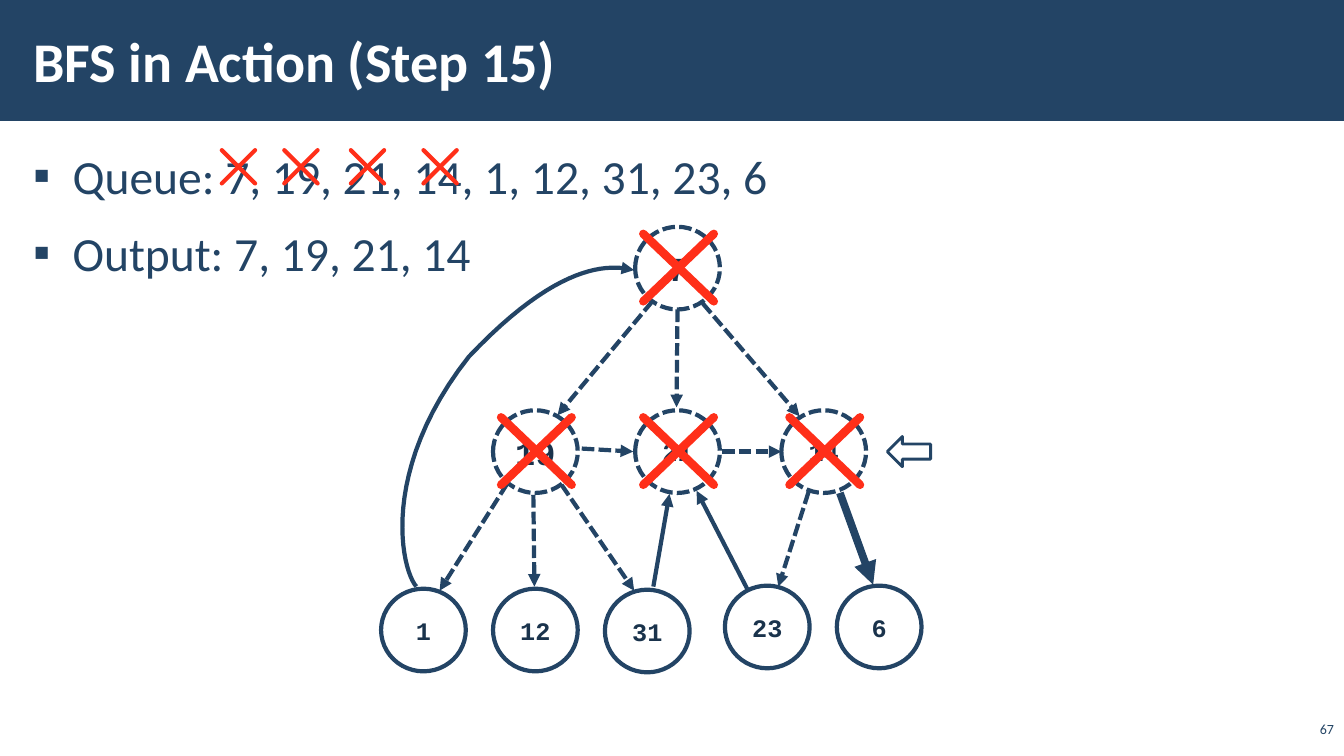
from lxml.etree import SubElement
from pptx import Presentation
from pptx.dml.color import RGBColor
from pptx.enum.dml import MSO_LINE
from pptx.enum.shapes import MSO_CONNECTOR as Connector, MSO_SHAPE as Preset
from pptx.enum.text import MSO_ANCHOR as Anchor, MSO_AUTO_SIZE as AutoSize, PP_ALIGN as Align
from pptx.oxml.ns import qn
from pptx.util import Inches, Pt

NAVY = RGBColor(0x23, 0x44, 0x65)
DARK = RGBColor(0x1A, 0x33, 0x4C)
RED = RGBColor(0xFF, 0x2F, 0x19)
WHITE = RGBColor(0xFF, 0xFF, 0xFF)

# The grid has square cells: 133.3 columns by 75 rows
COLUMNS, ROWS = 133.3, 75
NODE_WIDTH, NODE_HEIGHT = 8.4, 8.2


def cell(count):
    return Inches(count / 10)


def bezier(points, steps=24):
    """Points along a cubic curve, without its start."""
    for step in range(1, steps + 1):
        t = step / steps
        weights = ((1 - t) ** 3, 3 * t * (1 - t) ** 2, 3 * t * t * (1 - t), t ** 3)
        yield tuple(sum(w * p[axis] for w, p in zip(weights, points)) for axis in (0, 1))


class GraphSlide:
    body_font, node_font = "Calibri", "Courier New"

    def __init__(self, presentation):
        self.slide = presentation.slides.add_slide(presentation.slide_layouts[1])
        self.shapes = self.slide.shapes

    def place(self, shape, left, top, width, height):
        shape.left, shape.top = cell(left), cell(top)
        shape.width, shape.height = cell(width), cell(height)

    def format_runs(self, paragraph, size, color, bold=False, font=None):
        for run in paragraph.runs:
            run.font.name = font or self.body_font
            run.font.size = Pt(size)
            run.font.bold = bold
            run.font.color.rgb = color

    def set_margins(self, frame, side, top, bottom):
        frame.margin_left = frame.margin_right = cell(side)
        frame.margin_top, frame.margin_bottom = cell(top), cell(bottom)
        frame.auto_size = AutoSize.NONE

    def stroke(self, shape, color, width, dashed=False, arrow=False, rounded=False):
        shape.line.color.rgb = color
        shape.line.width = Pt(width)
        if dashed:
            shape.line.dash_style = MSO_LINE.SQUARE_DOT
        outline = shape.element.spPr.find(qn("a:ln"))
        if rounded:
            outline.set("cap", "rnd")
        if arrow:
            SubElement(outline, qn("a:tailEnd"), type="triangle")

    def preset(self, kind, box, fill, opacity=100):
        shape = self.shapes.add_shape(kind, *map(cell, box))
        shape.shadow.inherit = False
        shape.fill.solid()
        shape.fill.fore_color.rgb = fill
        if opacity < 100:
            color = shape.element.spPr.find(qn("a:solidFill"))[0]
            SubElement(color, qn("a:alpha"), val=str(opacity * 1000))
        return shape

    def title(self, text):
        band = self.preset(Preset.RECTANGLE, (0, 0, COLUMNS, 12), NAVY)
        band.line.fill.background()
        title = self.shapes.title
        title.element.addprevious(band.element)
        self.place(title, 2.1, 1.1, 106.3, 9.7)
        frame = title.text_frame
        frame.text = text
        frame.vertical_anchor = Anchor.MIDDLE
        self.set_margins(frame, 1.2, 0.4, 0.4)
        frame.paragraphs[0].alignment = Align.LEFT
        self.format_runs(frame.paragraphs[0], 40, WHITE, bold=True)

    def bullets(self, items):
        body = self.slide.placeholders[1]
        self.place(body, 2.1, 13.1, 129.2, 60.5)
        frame = body.text_frame
        frame.text = "\n".join(items)
        self.set_margins(frame, 1.2, 1.2, 0.4)
        for index, paragraph in enumerate(frame.paragraphs):
            properties = paragraph._p.get_or_add_pPr()
            properties.set("marL", str(cell(3.9)))
            properties.set("indent", str(-cell(3.9)))
            SubElement(properties, qn("a:buFont"), typeface=self.body_font)
            SubElement(properties, qn("a:buChar"), char="▪")
            paragraph.line_spacing = 1.05
            paragraph.space_before = Pt(6 if index else 0)
            paragraph.space_after = Pt(6)
            self.format_runs(paragraph, 34, NAVY)

    def page_number(self, text):
        box = self.shapes.add_textbox(*map(cell, (128.6, 71.4, 4.7, 2.2)))
        frame = box.text_frame
        frame.word_wrap = True
        frame.text = text
        frame.vertical_anchor = Anchor.BOTTOM
        self.set_margins(frame, 1, 0.5, 0.5)
        frame.paragraphs[0].alignment = Align.RIGHT
        self.format_runs(frame.paragraphs[0], 10, NAVY)

    def node(self, label, left, top, size=18, visited=False):
        circle = self.preset(Preset.OVAL, (left, top, NODE_WIDTH, NODE_HEIGHT), WHITE, 70)
        self.stroke(circle, NAVY, 3, dashed=visited)
        frame = circle.text_frame
        frame.word_wrap = False
        frame.text = label
        frame.vertical_anchor = Anchor.MIDDLE
        frame.paragraphs[0].alignment = Align.CENTER
        self.format_runs(frame.paragraphs[0], size, DARK, True, self.node_font)

    def line(self, ends, color, width, **style):
        line = self.shapes.add_connector(Connector.STRAIGHT, *map(cell, ends))
        SubElement(line.element.spPr, qn("a:effectLst"))
        self.stroke(line, color, width, **style)
        effects = line.element.spPr.find(qn("a:effectLst"))
        line.element.spPr.append(effects)

    def edge(self, *ends, width=3, dashed=False):
        self.line(ends, NAVY, width, dashed=dashed, arrow=True)

    def cross(self, left, top, width, height, weight):
        right, bottom = left + width, top + height
        for ends in ((left, top, right, bottom), (right, top, left, bottom)):
            self.line(ends, RED, weight, rounded=True)

    def curved_edge(self, start, *curves):
        points = [start]
        for curve in curves:
            points.extend(bezier((points[-1], *curve)))
        builder = self.shapes.build_freeform(*map(cell, start))
        builder.add_line_segments([tuple(map(cell, p)) for p in points[1:]], close=False)
        shape = builder.convert_to_shape()
        shape.shadow.inherit = False
        shape.fill.background()
        self.stroke(shape, NAVY, 3, arrow=True)

    def pointer(self, left, top, width, height):
        arrow = self.preset(Preset.RIGHT_ARROW, (left, top, width, height), WHITE, 50)
        arrow.rotation = 180
        self.stroke(arrow, NAVY, 2)


def main():
    presentation = Presentation()
    presentation.slide_width, presentation.slide_height = cell(COLUMNS), cell(ROWS)
    graph = GraphSlide(presentation)

    # Header, lists and page number
    graph.title("BFS in Action (Step 15)")
    graph.bullets(["Queue: 7, 19, 21, 14, 1, 12, 31, 23, 6", "Output: 7, 19, 21, 14"])
    graph.page_number("67")

    # Numbers removed from the queue
    for left in (22, 28.2, 34.8, 42):
        graph.cross(left, 14.9, 3.3, 3.3, 3)

    # Nodes
    visited = (("7", 63, 22.5, 24), ("19", 48.9, 40.7, 24),
               ("21", 63, 40.7, 18), ("14", 77.5, 40.7, 18))
    waiting = (("1", 37.8, 58.4), ("12", 48.9, 58.4), ("31", 60, 58.5),
               ("23", 71.9, 58.1), ("6", 83, 58.1))
    for label, left, top, size in visited:
        graph.node(label, left, top, size, visited=True)
    for label, left, top in waiting:
        graph.node(label, left, top)

    # Explored edges
    for ends in (
        (64.7, 29.9, 55.3, 41.2), (67.2, 30.7, 67.1, 40.4), (69.7, 30.1, 79.3, 41.3),
        (57.7, 44.5, 62.8, 44.8), (71.6, 44.8, 77.5, 44.8),
        (50.3, 48, 43.6, 58.6), (52.9, 49.1, 53, 58.2), (55.7, 48.1, 62.9, 58.6),
        (80.2, 48.8, 77.2, 58.2),
    ):
        graph.edge(*ends, dashed=True)

    # Remaining edges and the current one
    graph.edge(64.8, 58.2, 66.4, 49)
    graph.edge(74.1, 58.4, 69.1, 48.7)
    graph.edge(83.3, 48.9, 86.6, 58, width=5.5)
    graph.curved_edge((41.3, 58.2),
                      ((39.8, 56.5), (37.6, 46.7), (46.5, 35.4)),
                      ((55.4, 26), (60.4, 26.2), (62.9, 26.8)))

    # Visited marks and the pointer to the current node
    for _, left, top, _ in visited:
        graph.cross(left + 0.8, top + 0.7, 7, 6.7, 6)
    graph.pointer(88, 43.3, 4.3, 3)

    presentation.save("out.pptx")


if __name__ == "__main__":
    main()
